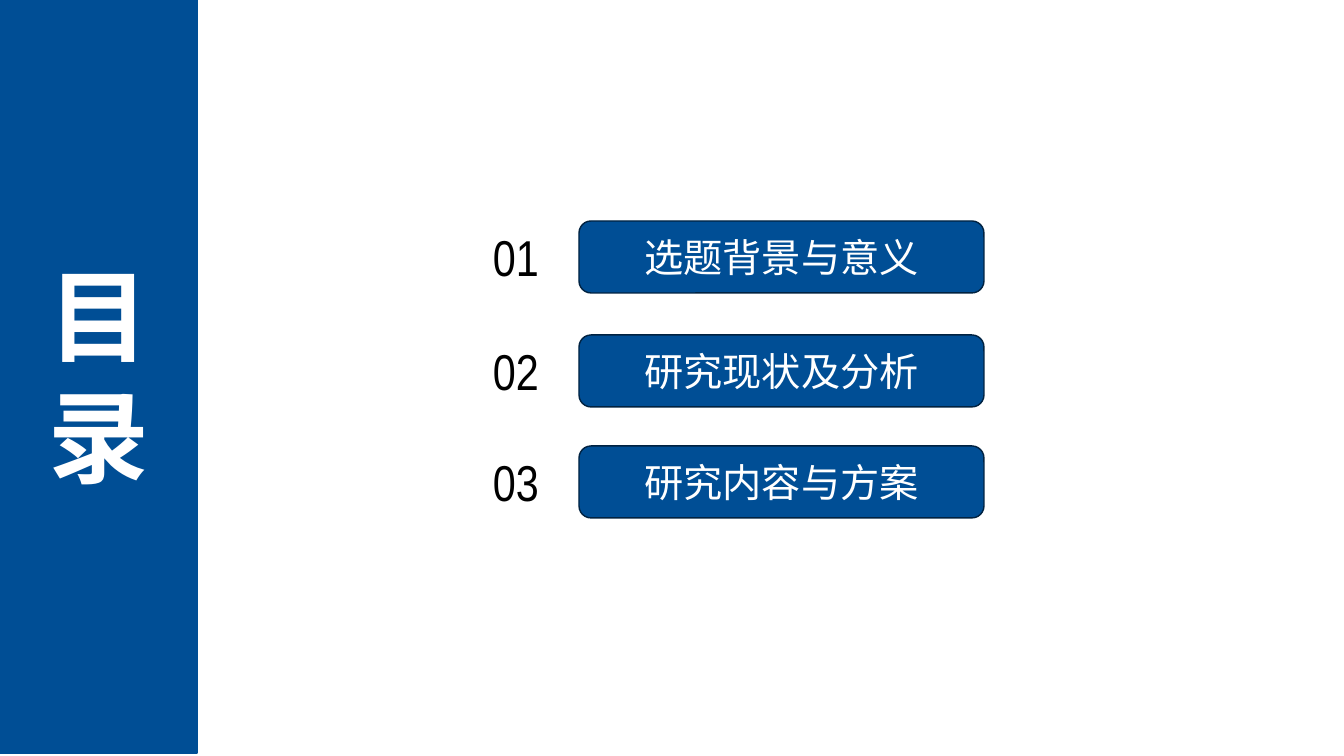
from lxml.etree import SubElement
from pptx import Presentation
from pptx.dml.color import RGBColor
from pptx.enum.shapes import MSO_SHAPE
from pptx.enum.text import MSO_ANCHOR as ANCHOR, MSO_AUTO_SIZE as AUTO_SIZE, PP_ALIGN as ALIGN
from pptx.oxml.ns import qn
from pptx.util import Emu, Pt

COLORS = {"blue": "004E95", "outline": "002241", "white": "FFFFFF", "black": "000000"}
CHINESE_FONT = "Noto Sans CJK SC"
NUMBER_FONT = "Arial Narrow"
SECTIONS = [(221, "选题背景与意义"), (335, "研究现状及分析"), (446, "研究内容与方案")]
ROW_HEIGHT = 72


def px(*lengths):
    return [Emu(round(length * 914400 / 100.8)) for length in lengths]


def write_text(shape, text, size, font, color, bold=False, align=ALIGN.CENTER,
               anchor=ANCHOR.MIDDLE, auto_size=AUTO_SIZE.NONE, fill=None, line=None):
    if fill:
        shape.fill.solid()
        shape.fill.fore_color.rgb = RGBColor.from_string(COLORS[fill])
        shape.line.color.rgb = RGBColor.from_string(COLORS[line])
        shape.line.width = Pt(1)
    frame = shape.text_frame
    frame.text = text
    frame.word_wrap = True
    frame.auto_size = auto_size
    frame.vertical_anchor = anchor
    for paragraph in frame.paragraphs:
        paragraph.alignment = align
        run = paragraph.runs[0]
        run.font.size = Pt(size)
        run.font.bold = bold
        run.font.color.rgb = RGBColor.from_string(COLORS[color])
        run.font.name = font
        SubElement(run.font._element, qn("a:ea"), typeface=font)


presentation = Presentation()
presentation.slide_width, presentation.slide_height = px(1344, 756)
slide = presentation.slides.add_slide(presentation.slide_layouts[5])

title = slide.shapes.title
title.left, title.top, title.width, title.height = px(0, -3, 197, 756)
write_text(title, "目\n录", 72, CHINESE_FONT, "white", bold=True, fill="blue", line="blue")

for number, (top, heading) in enumerate(SECTIONS, start=1):
    button = slide.shapes.add_shape(MSO_SHAPE.ROUNDED_RECTANGLE, *px(579, top, 405, ROW_HEIGHT))
    button.shadow.inherit = False
    write_text(button, heading, 28, CHINESE_FONT, "white", fill="blue", line="outline")
    label = slide.shapes.add_textbox(*px(483, top, 74, ROW_HEIGHT))
    write_text(label, f"{number:02d}", 36, NUMBER_FONT, "black", align=ALIGN.LEFT,
               anchor=ANCHOR.TOP, auto_size=AUTO_SIZE.SHAPE_TO_FIT_TEXT)

presentation.save("out.pptx")
